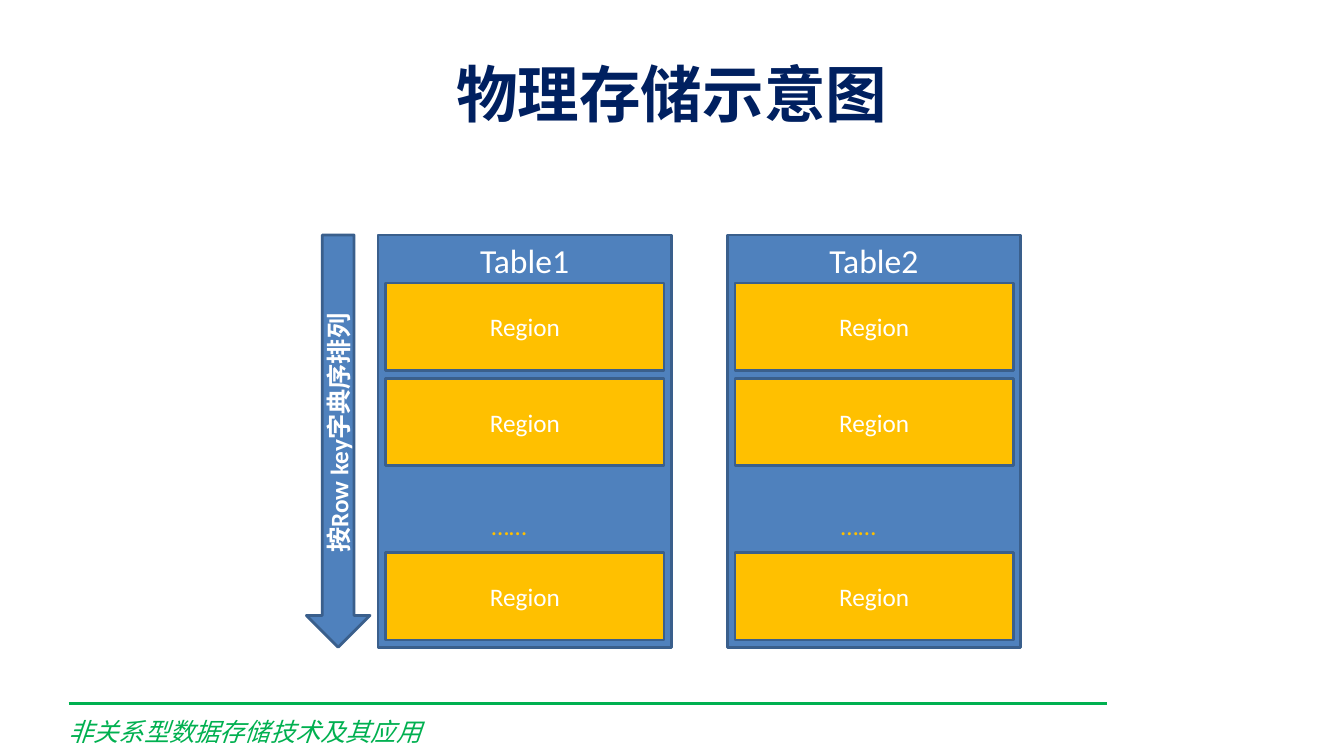
from pptx import Presentation
from pptx.dml.color import RGBColor
from pptx.enum.shapes import MSO_CONNECTOR as Connector, MSO_SHAPE as Shape
from pptx.enum.text import MSO_ANCHOR as Anchor, PP_ALIGN as Align
from pptx.oxml.ns import qn
from pptx.util import Pt
from lxml.etree import SubElement

# Content
TITLE = "物理存储示意图"
FOOTER = "非关系型数据存储技术及其应用"
ARROW_LABEL = "按Row key字典序排列"
TABLES = ["Table1", "Table2"]
REGION = "Region"
ELLIPSIS = "……"

# Theme
THEME = {
    "latin": "Calibri", "cjk": "Noto Sans CJK JP",
    "navy": "002060", "green": "00B050", "white": "FFFFFF",
    "blue": "4F81BD", "edge": "3A5F8C", "gold": "FFC000",
    "title": 44, "heading": 24, "body": 18,
    "edge_width": 2, "rule_width": 2.25,
}

# Layout, in points
PAGE = (960, 540)
TITLE_BOX = (48, 21.6, 864, 90)
FOOTER_BOX = (41.8, 508.3, 521.3, 28.8)
RULE = (49, 502.5, 790.6, 502.5)
TABLE_TOP, TABLE_SIZE = 167.8, (209.5, 294.5)
TABLE_LEFT, TABLE_STEP = 270, 249.5
ARROW_BOX = (218.9, TABLE_TOP, 45.4, TABLE_SIZE[1])
REGION_INSET, REGION_SIZE = 5.6, (198.7, 62.6)
REGION_TOPS = [34.4, 102.4, 226.8]
ELLIPSIS_BOX = (28.5, 192.9, 130.3, 28.8)


def color(name):
    return RGBColor.from_string(THEME[name])


def write(box, text, size, ink, face="latin", anchor=Anchor.MIDDLE,
          align=Align.CENTER, **style):
    frame = box.text_frame
    frame.word_wrap = True
    frame.vertical_anchor = anchor
    para = frame.paragraphs[0]
    para.alignment = align
    span = para.add_run()
    span.text = text
    span.font.color.rgb = color(ink)
    formats = {"name": THEME[face], "size": Pt(THEME[size]), **style}
    for key, value in formats.items():
        setattr(span.font, key, value)
    east_asian = SubElement(span.font._element, qn("a:ea"))
    east_asian.set("typeface", THEME["cjk"])


def add_text(page, bounds, *words, **style):
    box = page.shapes.add_textbox(*map(Pt, bounds))
    write(box, *words, **style)


def add_block(page, kind, bounds, fill):
    box = page.shapes.add_shape(kind, *map(Pt, bounds))
    box.shadow.inherit = False
    box.fill.solid()
    box.fill.fore_color.rgb = color(fill)
    box.line.color.rgb = color("edge")
    box.line.width = Pt(THEME["edge_width"])
    return box


def add_table_diagram(page, name, left):
    # Outer table with its heading at the top
    outer = add_block(page, Shape.RECTANGLE,
                      (left, TABLE_TOP, *TABLE_SIZE), "blue")
    write(outer, name, "heading", "white", anchor=Anchor.TOP)

    # Regions, with an ellipsis before the last one
    for top in REGION_TOPS:
        bounds = (left + REGION_INSET, TABLE_TOP + top, *REGION_SIZE)
        region = add_block(page, Shape.RECTANGLE, bounds, "gold")
        write(region, REGION, "body", "white")
    dx, dy, width, height = ELLIPSIS_BOX
    add_text(page, (left + dx, TABLE_TOP + dy, width, height),
             ELLIPSIS, "body", "gold", anchor=Anchor.TOP)


def main():
    deck = Presentation()
    deck.slide_width, deck.slide_height = map(Pt, PAGE)
    page = deck.slides.add_slide(deck.slide_layouts[6])

    # Footer rule and course name
    rule = page.shapes.add_connector(Connector.STRAIGHT, *map(Pt, RULE))
    rule.line.color.rgb = color("green")
    rule.line.width = Pt(THEME["rule_width"])
    SubElement(rule._element.spPr, qn("a:effectLst"))
    add_text(page, FOOTER_BOX, FOOTER, "body", "green", face="cjk",
             anchor=Anchor.TOP, align=Align.LEFT, italic=True)

    # Title
    add_text(page, TITLE_BOX, TITLE, "title", "navy", face="cjk", bold=True)

    # Sort-order arrow, its label reading upwards
    arrow = add_block(page, Shape.DOWN_ARROW, ARROW_BOX, "blue")
    write(arrow, ARROW_LABEL, "body", "white", bold=True)
    arrow.text_frame._txBody.bodyPr.set("vert", "vert270")

    # Tables
    for index, name in enumerate(TABLES):
        add_table_diagram(page, name, TABLE_LEFT + index * TABLE_STEP)

    deck.save("out.pptx")


if __name__ == "__main__":
    main()
